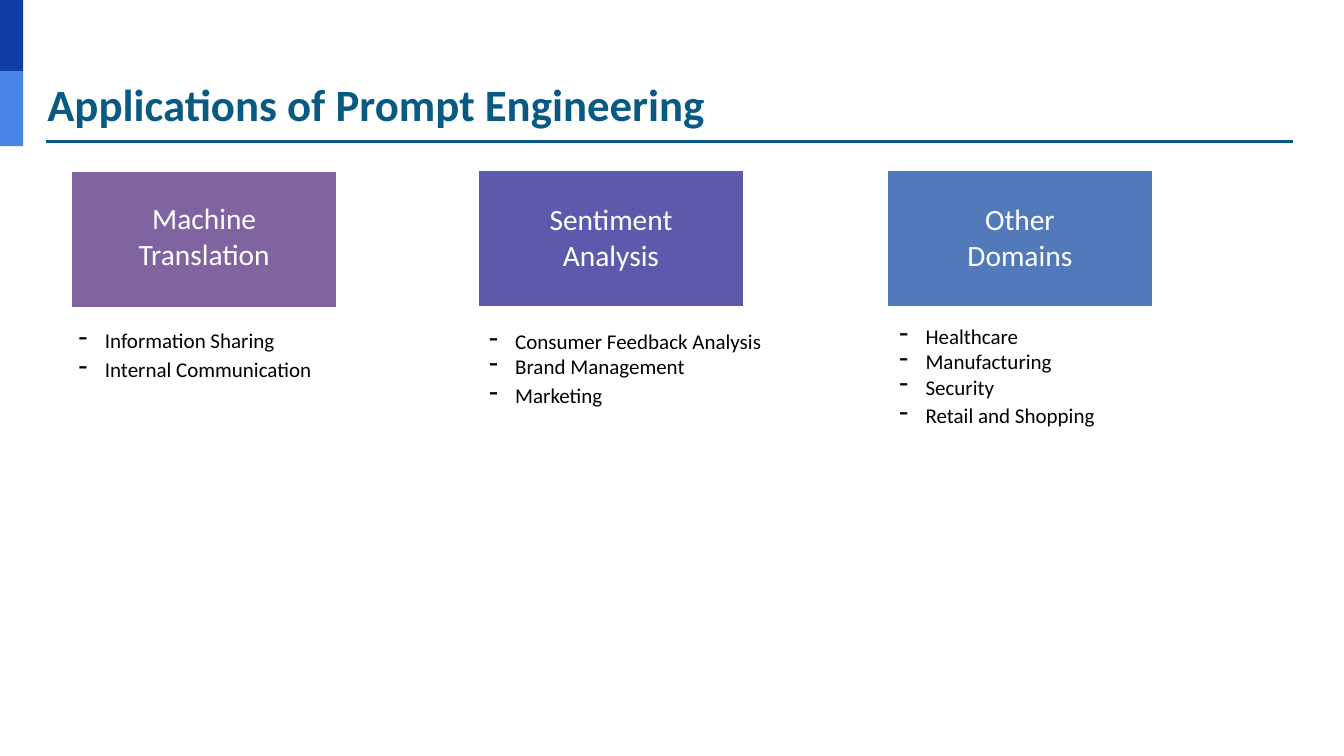
from lxml import etree
from pptx import Presentation
from pptx.dml.color import RGBColor
from pptx.enum.shapes import MSO_CONNECTOR, MSO_SHAPE
from pptx.enum.text import MSO_ANCHOR, PP_ALIGN
from pptx.oxml.ns import qn
from pptx.util import Pt

RECT = MSO_SHAPE.RECTANGLE
LINE = MSO_CONNECTOR.STRAIGHT
TOP = MSO_ANCHOR.TOP
LEFT, CENTER = PP_ALIGN.LEFT, PP_ALIGN.CENTER

SCALE = 9144  # EMU per px, 100 px to the inch
FONT = "Calibri"
TEAL, WHITE, BLACK = "085A82", "FFFFFF", "000000"

BARS = [(0, 71, "0F3EA8"), (71, 74, "4985E8")]

# heading, fill, card box, top inset, list box, items
TOPICS = [
    ("Machine Translation", "8063A1", (70, 169, 265, 137), 30,
     (77, 326, 234, 54),
     ["Information Sharing", "Internal Communication"]),
    ("Sentiment Analysis", "5D5AAD", (474, 168, 264, 137), 32,
     (484, 327, 273, 79),
     ["Consumer Feedback Analysis", "Brand Management", "Marketing"]),
    ("Other Domains", "5279B9", (879, 168, 265, 137), 32,
     (891, 322, 197, 104),
     ["Healthcare", "Manufacturing", "Security", "Retail and Shopping"]),
]


def px(n):
    return n * SCALE


def color(code):
    return RGBColor.from_string(code)


def set_frame(frame, left=0, top=0, right=0):
    frame.word_wrap = True
    frame.vertical_anchor = TOP
    frame.margin_left, frame.margin_top = px(left), px(top)
    frame.margin_right, frame.margin_bottom = px(right), 0


def add_run(par, text, size, code, bold=False):
    run = par.add_run()
    run.text = text
    font = run.font
    font.name, font.size, font.bold = FONT, Pt(size), bold
    font.color.rgb = color(code)


def add_rect(slide, box, fill):
    shape = slide.shapes.add_shape(RECT, *map(px, box))
    shape.shadow.inherit = False
    shape.fill.solid()
    shape.fill.fore_color.rgb = color(fill)
    shape.line.fill.background()
    return shape


def add_rule(slide, left, right, y):
    rule = slide.shapes.add_connector(LINE, px(left), px(y), px(right), px(y))
    rule.line.color.rgb = color(TEAL)
    rule.line.width = Pt(2.25)
    props = rule.element.find(qn("p:spPr"))
    etree.SubElement(props, qn("a:effectLst"))


def set_title(slide, text, box):
    title = slide.shapes.title
    title.left, title.top, title.width, title.height = map(px, box)
    set_frame(title.text_frame, left=1, top=1)
    par = title.text_frame.paragraphs[0]
    par.alignment = LEFT
    par.line_spacing = 1.0
    add_run(par, text, 32, TEAL, bold=True)


def add_card(slide, box, fill, text, top):
    card = add_rect(slide, box, fill)
    card.line.color.rgb = color(WHITE)
    card.line.width = Pt(2)
    set_frame(card.text_frame, 50, top, 50)
    par = card.text_frame.paragraphs[0]
    par.alignment = CENTER
    add_run(par, text, 21, WHITE)


def add_dash(par):
    """Give the paragraph a hanging dash bullet."""
    props = par._p.get_or_add_pPr()
    props.set("marL", str(px(27)))
    props.set("indent", str(px(-26)))
    etree.SubElement(props, qn("a:buSzPct"), val="127000")
    etree.SubElement(props, qn("a:buChar"), char="-")


def add_list(slide, box, items):
    frame = slide.shapes.add_textbox(*map(px, box)).text_frame
    set_frame(frame)
    last = len(items) - 1
    for i, item in enumerate(items):
        par = frame.add_paragraph() if i else frame.paragraphs[0]
        par.line_spacing = Pt({0: 17.4, last: 20.4}.get(i, 18))
        add_dash(par)
        add_run(par, item, 15, BLACK)


def main():
    deck = Presentation()
    deck.slide_width, deck.slide_height = px(1333), px(750)
    slide = deck.slides.add_slide(deck.slide_layouts[5])
    for top, height, fill in BARS:
        add_rect(slide, (0, top, 23, height), fill)
    add_rule(slide, 46, 1282, 140)
    set_title(slide, "Applications of Prompt Engineering", (46, 75, 858, 56))
    for text, fill, card, top, box, items in TOPICS:
        add_card(slide, card, fill, text, top)
        add_list(slide, box, items)
    deck.save("out.pptx")


if __name__ == "__main__":
    main()
